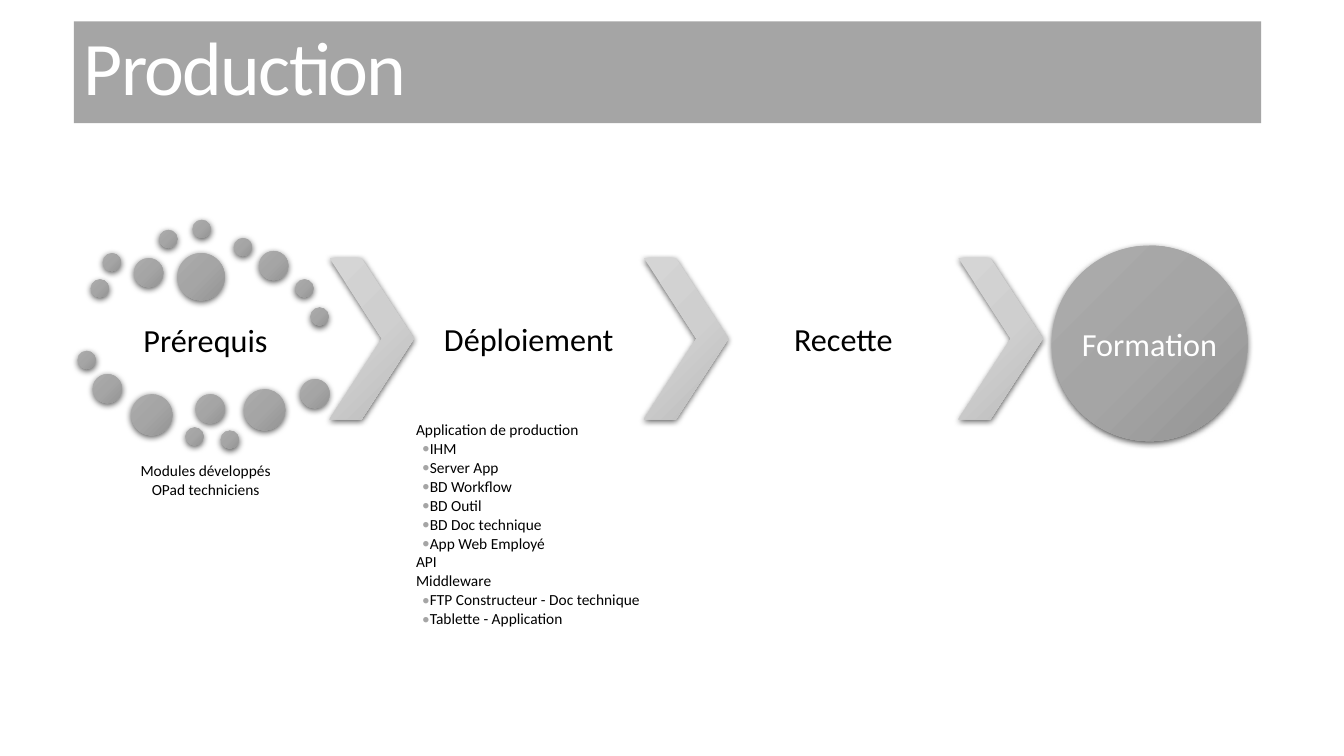
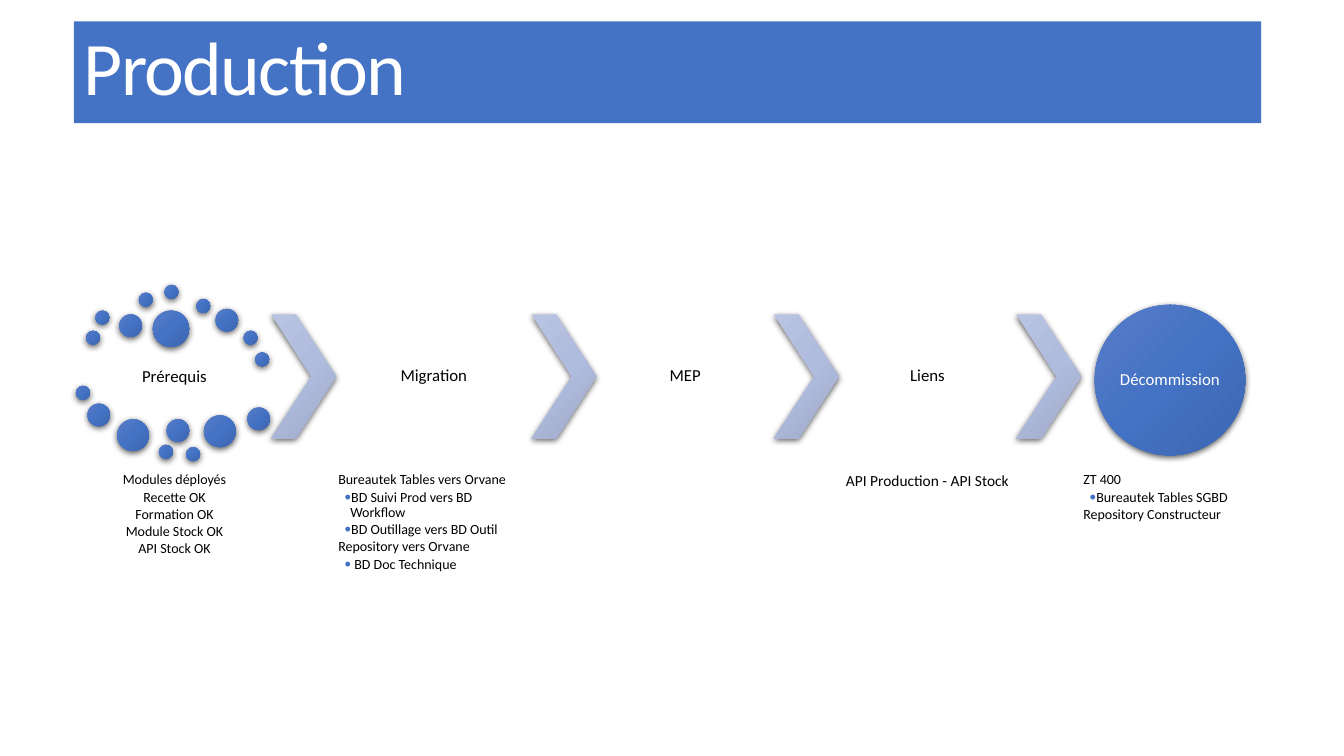
from dataclasses import dataclass

from pptx import Presentation
from pptx.dml.color import RGBColor
from pptx.enum.shapes import MSO_SHAPE
from pptx.enum.text import MSO_ANCHOR, MSO_AUTO_SIZE, PP_ALIGN
from pptx.oxml import parse_xml
from pptx.oxml.ns import nsdecls
from pptx.util import Pt

OVAL, CHEVRON = MSO_SHAPE.OVAL, MSO_SHAPE.CHEVRON
TOP, MIDDLE = MSO_ANCHOR.TOP, MSO_ANCHOR.MIDDLE
LEFT, CENTER = PP_ALIGN.LEFT, PP_ALIGN.CENTER
NO_FIT = MSO_AUTO_SIZE.NONE
TITLE_ONLY = 5

SLIDE_SIZE = (960, 540)
TITLE_BOX = (52.7, 15.3, 848.1, 72.7)
INSET = 1.5
INDENT = 4.32
CHEVRON_SIZE = (60.3, 115.2)
CHEVRON_DROP = 27.4
CIRCLE_SIZE = 139.7
CIRCLE_DROP = 18.4
CLUSTER_LABEL = (9.4, 58.3, 164.2, 54)
SMALL, MEDIUM, LARGE, HUGE = 13, 20.9, 29.5, 33.8
BUBBLES = [
    (9.4, 42.5, SMALL), (18, 23.8, SMALL), (40.3, 27.4, MEDIUM),
    (58.3, 7.2, SMALL), (82.1, 0, SMALL), (111.6, 13, SMALL),
    (129.6, 22.3, MEDIUM), (155.5, 42.5, SMALL), (166.3, 62.6, SMALL),
    (71.3, 23.8, HUGE), (0, 93.6, SMALL), (10.8, 110.2, MEDIUM),
    (38.2, 124.6, LARGE), (77, 148.3, SMALL), (84.2, 124.6, MEDIUM),
    (102.2, 150.5, SMALL), (118.8, 121, LARGE), (159.1, 113.8, MEDIUM),
]


@dataclass(frozen=True)
class Theme:
    """Colours, type sizes and label spacing of one slide."""
    accent: str
    node: tuple
    arrow: tuple
    label_pt: float
    detail_pt: float
    label_spacing: float
    title_pt: float = 54
    font: str = "Calibri"
    ink: str = "000000"
    paper: str = "FFFFFF"


@dataclass(frozen=True)
class Stage:
    """One step of the process, with (level, text) details."""
    label: str
    width: float
    details: tuple = ()
    details_top: float = 336.2
    align: int = LEFT
    detail_pt: float = 0


GREY = Theme("A5A5A5", ("ACACAC", "A5A5A5", "949494"),
             ("D5D5D5", "CFCFCF", "BABABA"), 23, 11, 1.0)
BLUE = Theme("4472C4", ("587DC8", "4472C4", "3D66B0"),
             ("B9C3E2", "B0BCDE", "9EA8C8"), 12, 10, 0.9)

DEPLOYMENT = [
    Stage("Prérequis", 180,
          ((1, "Modules développés"), (1, "OPad techniciens")), 329.5, CENTER),
    Stage("Déploiement", 164.3, (
        (1, "Application de production"),
        (2, "IHM"),
        (2, "Server App"),
        (2, "BD Workflow"),
        (2, "BD Outil"),
        (2, "BD Doc technique"),
        (2, "App Web Employé"),
        (1, "API"),
        (1, "Middleware"),
        (2, "FTP Constructeur - Doc technique"),
        (2, "Tablette - Application")), 300),
    Stage("Recette", 164.3),
    Stage("Formation", 152.6),
]

MIGRATION = [
    Stage("Prérequis", 139.5, (
        (1, "Modules déployés"),
        (1, "Recette OK"),
        (1, "Formation OK"),
        (1, "Module Stock OK"),
        (1, "API Stock OK")), align=CENTER),
    Stage("Migration", 139.5, (
        (1, "Bureautek Tables vers Orvane"),
        (2, "BD Suivi Prod vers BD Workflow"),
        (2, "BD Outillage vers BD Outil"),
        (1, "Repository vers Orvane"),
        (2, " BD Doc Technique"))),
    Stage("MEP", 126.7),
    Stage("Liens", 126.7, ((0, "API Production - API Stock"),),
          align=CENTER, detail_pt=11),
    Stage("Décommission", 126.7, (
        (1, "ZT 400"),
        (2, "Bureautek Tables SGBD"),
        (1, "Repository Constructeur"))),
]


def add_run(p, text, theme, size, color):
    """Append a formatted run."""
    r = p.add_run()
    r.text = text
    r.font.name, r.font.size = theme.font, Pt(size)
    r.font.color.rgb = RGBColor.from_string(color)
    return r


def set_frame(sp, anchor, inset):
    """Prepare a wrapping text frame with equal insets."""
    tf = sp.text_frame
    tf.word_wrap, tf.auto_size, tf.vertical_anchor = True, NO_FIT, anchor
    tf.margin_left = tf.margin_right = tf.margin_top = tf.margin_bottom = Pt(inset)
    return tf


def add_label(sp, text, theme, color, inset=INSET):
    """Write a centred stage name in a shape or text box."""
    p = set_frame(sp, MIDDLE, inset).paragraphs[0]
    p.alignment, p.line_spacing = CENTER, theme.label_spacing
    add_run(p, text, theme, theme.label_pt, color)


def add_box(s, box):
    """Add a text box at a box in points."""
    return s.shapes.add_textbox(*map(Pt, box))


def add_glossy(s, kind, box, colors):
    """Add a borderless shape with a diagonal gradient and a soft shadow."""
    sp = s.shapes.add_shape(kind, *map(Pt, box))
    stops = "".join(f'<a:gs pos="{pos}"><a:srgbClr val="{color}"/></a:gs>'
                    for pos, color in zip((0, 50000, 100000), colors))
    props = sp._element.spPr
    props.append(parse_xml(
        f'<a:gradFill {nsdecls("a")} rotWithShape="1"><a:gsLst>{stops}</a:gsLst>'
        '<a:lin ang="2700000" scaled="0"/></a:gradFill>'))
    sp.line.fill.background()
    props.append(parse_xml(
        f'<a:effectLst {nsdecls("a")}><a:outerShdw blurRad="{Pt(4.5)}" '
        f'dist="{Pt(1.5)}" dir="5400000" algn="ctr" rotWithShape="0">'
        '<a:srgbClr val="000000"><a:alpha val="63000"/></a:srgbClr>'
        '</a:outerShdw></a:effectLst>'))
    return sp


def add_title(s, text, theme):
    """Turn the title placeholder into the coloured band."""
    sp = s.shapes.title
    sp.left, sp.top, sp.width, sp.height = map(Pt, TITLE_BOX)
    sp.fill.solid()
    sp.fill.fore_color.rgb = RGBColor.from_string(theme.accent)
    p = set_frame(sp, MIDDLE, 7.2).paragraphs[0]
    p.alignment, p.line_spacing = LEFT, 0.85
    r = add_run(p, text, theme, theme.title_pt, theme.paper)
    r.font._element.set("spc", "-120")


def add_bullet(props, theme):
    """Give a paragraph an accent-coloured bullet in the text font."""
    for xml in (f'<a:buClr {nsdecls("a")}><a:srgbClr val="{theme.accent}"/></a:buClr>',
                f'<a:buFont {nsdecls("a")} typeface="{theme.font}"/>',
                f'<a:buChar {nsdecls("a")} char="•"/>'):
        props.append(parse_xml(xml))


def add_details(s, stage, x, width, theme):
    """List the details of a stage below its label."""
    if not stage.details:
        return
    size = stage.detail_pt or theme.detail_pt
    sp = add_box(s, (x, stage.details_top, width, 18 * len(stage.details)))
    tf = set_frame(sp, TOP, INSET)
    for i, (level, text) in enumerate(stage.details):
        p = tf.add_paragraph() if i else tf.paragraphs[0]
        p.level, p.alignment, p.line_spacing = level, stage.align, 0.9
        p.space_before, p.space_after = Pt(0), Pt(round(size * 0.15, 2))
        props = p._p.get_or_add_pPr()
        props.set("marL", str(Pt(INDENT * level)))
        props.set("indent", str(Pt(-INDENT if level else 0)))
        if level == 2:
            add_bullet(props, theme)
        add_run(p, text, theme, size, theme.ink)


def add_cluster(s, stage, x, y, scale, theme):
    """Draw the opening stage as a label ringed by bubbles."""
    for dx, dy, size in BUBBLES:
        add_glossy(s, OVAL, (x + dx * scale, y + dy * scale,
                             size * scale, size * scale), theme.node)
    dx, dy, width, height = (v * scale for v in CLUSTER_LABEL)
    add_label(add_box(s, (x + dx, y + dy, width, height)),
              stage.label, theme, theme.ink)
    add_details(s, stage, x + dx, width, theme)


def add_step(s, stage, x, y, scale, theme):
    """Draw a middle stage as a plain label."""
    box = (x, y + CHEVRON_DROP * scale, stage.width, CHEVRON_SIZE[1] * scale)
    add_label(add_box(s, box), stage.label, theme, theme.ink)
    add_details(s, stage, x, stage.width, theme)


def add_goal(s, stage, x, y, scale, theme):
    """Draw the closing stage as a circle centred in its column."""
    size = CIRCLE_SIZE * scale
    box = (x + (stage.width - size) / 2, y + CIRCLE_DROP * scale, size, size)
    add_label(add_glossy(s, OVAL, box, theme.node),
              stage.label, theme, theme.paper, 0)
    add_details(s, stage, x, stage.width, theme)


def add_process(s, stages, x, y, scale, theme):
    """Lay the stages from left to right with a chevron between each pair."""
    width, height = (v * scale for v in CHEVRON_SIZE)
    drawers = [add_cluster] + [add_step] * (len(stages) - 2) + [add_goal]
    for i, (stage, draw) in enumerate(zip(stages, drawers)):
        if i:
            box = (x, y + CHEVRON_DROP * scale, width, height)
            sp = add_glossy(s, CHEVRON, box, theme.arrow)
            sp.adjustments[0] = 0.62
            x += width
        draw(s, stage, x, y, scale, theme)
        x += stage.width


def add_process_slide(prs, title, stages, x, y, scale, theme):
    """Add a titled slide showing one process."""
    s = prs.slides.add_slide(prs.slide_layouts[TITLE_ONLY])
    add_title(s, title, theme)
    add_process(s, stages, x, y, scale, theme)


def main():
    """Build and save the presentation."""
    prs = Presentation()
    prs.slide_width, prs.slide_height = map(Pt, SLIDE_SIZE)
    add_process_slide(prs, "Production", DEPLOYMENT, 55.4, 157, 1, GREY)
    add_process_slide(prs, "Production", MIGRATION, 54.2, 203.5, 0.77, BLUE)
    prs.save("out.pptx")


if __name__ == "__main__":
    main()
